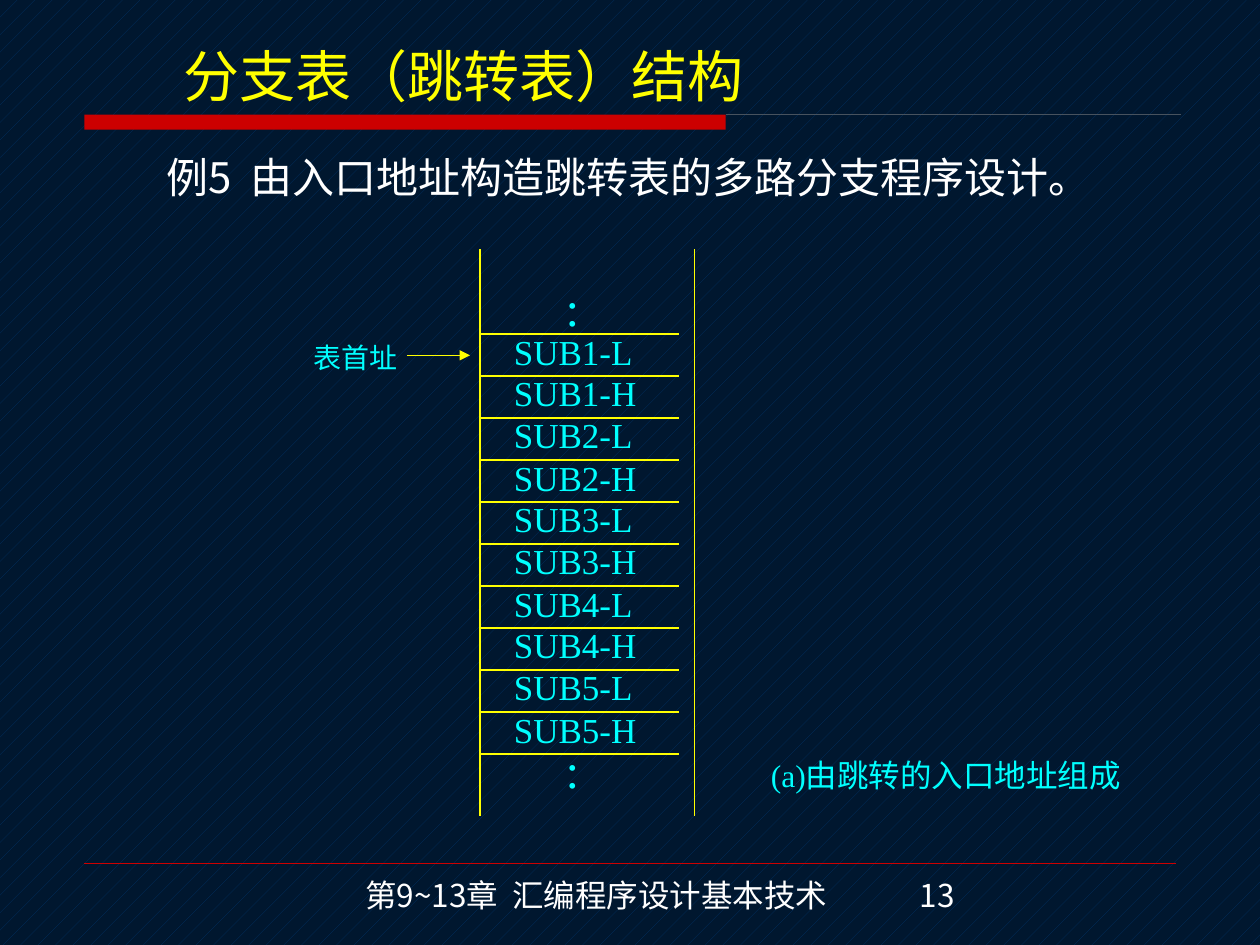
"""Build the slide on the branch (jump) table structure."""
import pptx
import pptx.dml.color
import pptx.enum.dml
import pptx.enum.shapes
import pptx.enum.text
import pptx.oxml
import pptx.oxml.ns
import pptx.util
from pptx.util import Inches

THEME = {
    "back": "00172F", "pattern": "003366", "red": "CC0000", "rule": "47525E",
    "yellow": "FFFF00", "cyan": "00FFFF", "white": "FFFFFF",
    "sans": "Noto Sans CJK JP", "title_font": "Open Sans", "serif": "Times New Roman",
    "title": 32, "dots": 28, "body": 24, "cell": 20, "note": 18, "label": 16,
}


def rgb(name):
    return pptx.dml.color.RGBColor.from_string(THEME[name])


presentation = pptx.Presentation()
presentation.slide_width, presentation.slide_height = Inches(10), Inches(7.5)
slide = presentation.slides.add_slide(presentation.slide_layouts[6])
background = slide.background.fill
background.patterned()
background.pattern = pptx.enum.dml.MSO_PATTERN.PERCENT_5
background.fore_color.rgb = rgb("pattern")
background.back_color.rgb = rgb("back")

bar = slide.shapes.add_shape(
    pptx.enum.shapes.MSO_SHAPE.RECTANGLE, Inches(0.67), Inches(0.91), Inches(5.09), Inches(0.12))
bar.shadow.inherit = False
bar.fill.solid()
bar.fill.fore_color.rgb = rgb("red")
bar.line.fill.background()

row_height = 1 / 3
lines = [
    (0.67, 6.85, 9.33, 6.85, "red", 0.25),
    (5.76, 0.91, 9.37, 0.91, "rule", 0.75),
    (3.81, 1.98, 3.81, 6.48, "yellow", 0.75),
    (5.51, 1.98, 5.51, 6.48, "yellow", 0.75),
]
for row in range(11):
    y = 2.65 + row * row_height
    lines.append((3.81, y, 5.39, y, "yellow", 0.75))
lines.append((3.23, 2.82, 3.73, 2.82, "yellow", 0.75))

for x1, y1, x2, y2, color, width in lines:
    connector = slide.shapes.add_connector(
        pptx.enum.shapes.MSO_CONNECTOR.STRAIGHT, Inches(x1), Inches(y1), Inches(x2), Inches(y2))
    connector.line.color.rgb = rgb(color)
    connector.line.width = pptx.util.Pt(width)
    properties = connector._element.spPr
    properties.append(pptx.oxml.parse_xml(
        f'<a:effectLst {pptx.oxml.ns.nsdecls("a")}/>'))
arrow_line = connector.line._get_or_add_ln()
arrow_line.append(pptx.oxml.parse_xml(
    f'<a:tailEnd {pptx.oxml.ns.nsdecls("a")} type="triangle"/>'))

texts = [
    ("分支表（跳转表）结构", 1.36, 0.23, 5.14, 0.68, "title", "title_font", "yellow"),
    ("例5  由入口地址构造跳转表的多路分支程序设计。", 1.22, 1.15, 7.55, 0.5, "body", "sans", "white"),
    ("表首址", 2.39, 2.65, 0.87, 0.37, "label", "serif", "cyan"),
    (":", 4.39, 2.15, 0.31, 0.57, "dots", "serif", "cyan"),
    (":", 4.39, 5.82, 0.31, 0.57, "dots", "serif", "cyan"),
    ("(a)由跳转的入口地址组成", 6.02, 5.95, 3.25, 0.4, "note", "serif", "cyan"),
    ("第9~13章  汇编程序设计基本技术", 2.8, 6.9, 4.2, 0.4, "note", "sans", "white"),
    ("13", 7.2, 6.9, 0.8, 0.4, "note", "sans", "white"),
]
for row in range(10):
    name = f"SUB{row // 2 + 1}-{'LH'[row % 2]}"
    texts.append((name, 3.98, 2.57 + row * row_height, 1.33, 0.43, "cell", "serif", "cyan"))

for text, left, top, width, height, size, font, color in texts:
    box = slide.shapes.add_textbox(Inches(left), Inches(top), Inches(width), Inches(height))
    frame = box.text_frame
    frame.word_wrap = True
    if size == "title":
        frame.vertical_anchor = pptx.enum.text.MSO_ANCHOR.BOTTOM
    run = frame.paragraphs[0].add_run()
    run.text = text
    run.font.size = pptx.util.Pt(THEME[size])
    run.font.name = THEME[font]
    run.font.color.rgb = rgb(color)

presentation.save("out.pptx")
